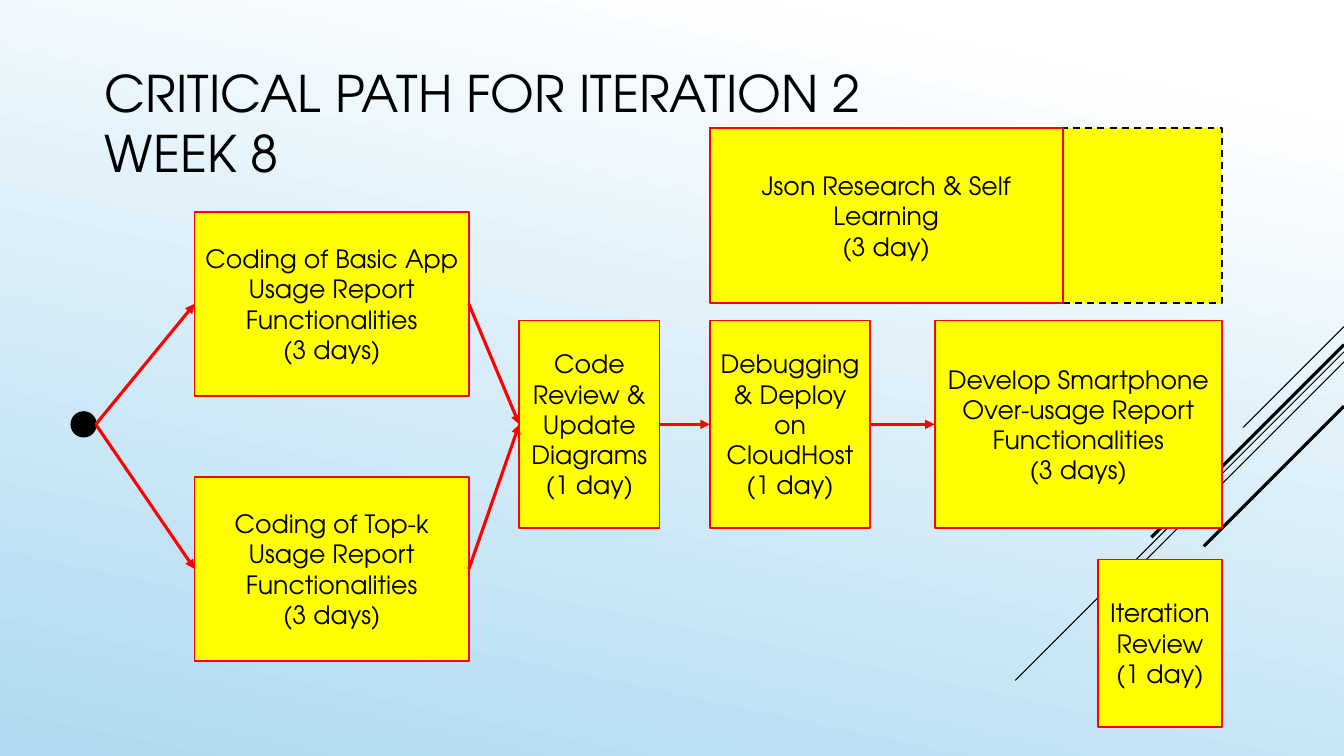
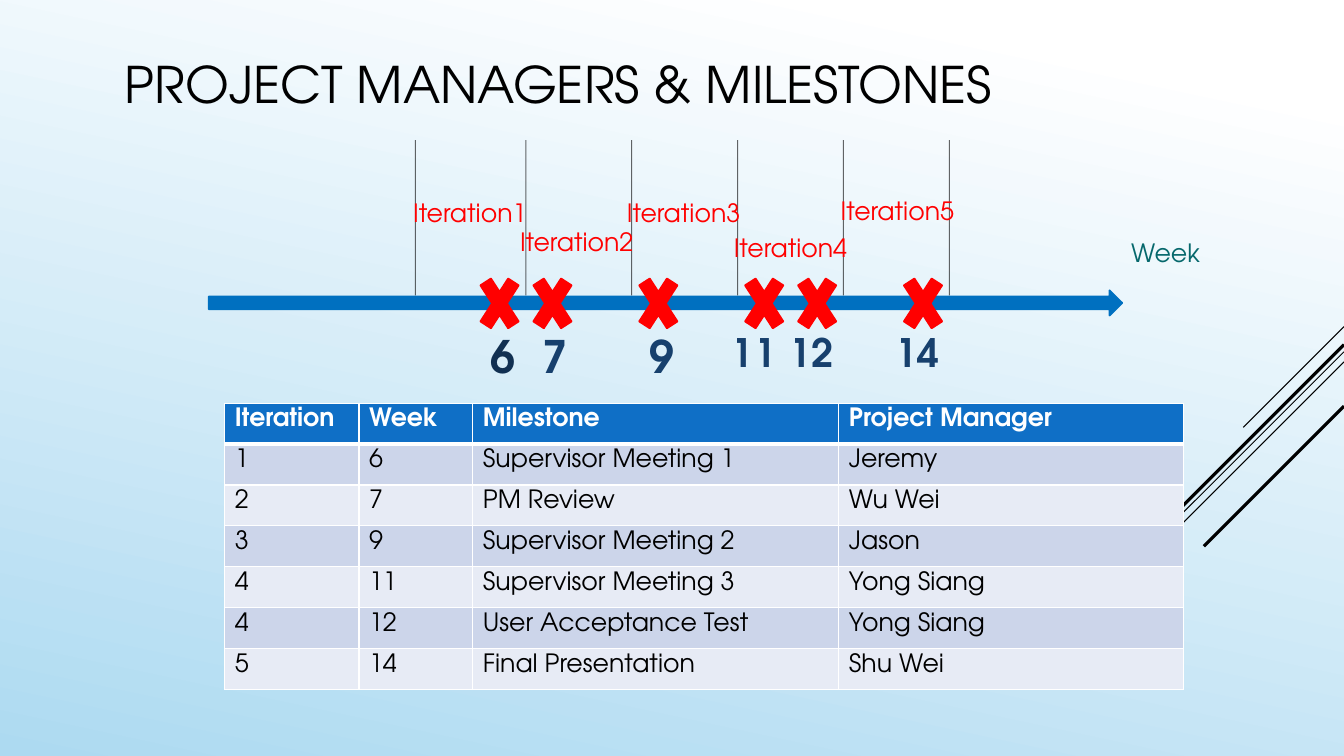
from lxml import etree
from pptx import Presentation
from pptx.dml.color import RGBColor
from pptx.enum.dml import MSO_LINE
from pptx.enum.shapes import MSO_CONNECTOR, MSO_SHAPE
from pptx.enum.text import MSO_ANCHOR, PP_ALIGN
from pptx.oxml.ns import qn
from pptx.util import Inches, Pt

RECTANGLE, ELLIPSE = MSO_SHAPE.RECTANGLE, MSO_SHAPE.OVAL
RIGHT_ARROW, CROSS = MSO_SHAPE.RIGHT_ARROW, MSO_SHAPE.MATH_MULTIPLY
STRAIGHT, DASH = MSO_CONNECTOR.STRAIGHT, MSO_LINE.DASH
LEFT, CENTER = PP_ALIGN.LEFT, PP_ALIGN.CENTER
TOP, MIDDLE = MSO_ANCHOR.TOP, MSO_ANCHOR.MIDDLE
LEFT_SIDE, RIGHT_SIDE = 1, 3

FONT = "TeX Gyre Adventor"
BLACK = RGBColor(0x00, 0x00, 0x00)
WHITE = RGBColor(0xFF, 0xFF, 0xFF)
SKY = RGBColor(0xAD, 0xDA, 0xF1)
RED = RGBColor(0xFF, 0x00, 0x00)
YELLOW = RGBColor(0xFF, 0xFF, 0x00)
AXIS_BLUE = RGBColor(0x00, 0x70, 0xC0)
TEAL = RGBColor(0x06, 0x68, 0x6C)
NAVY = RGBColor(0x17, 0x40, 0x6D)
DARK_NAVY = RGBColor(0x11, 0x30, 0x52)
HEADER_BLUE = RGBColor(0x0F, 0x6F, 0xC6)
BAND_COLORS = (RGBColor(0xCC, 0xD5, 0xEA), RGBColor(0xE7, 0xEB, 0xF5))

SLIDE_WIDTH, SLIDE_HEIGHT = 13.33, 7.5
# Diagonals leave the right edge at a height and run left and down by a length.
DIAGONALS = ((3.24, 1, 0.75), (3.49, 3.26, 0.75), (3.59, 2.07, 0.75),
             (3.42, 1.91, 2.25), (4.03, 1.39, 2.25))

# Critical path grid: (left, width) of columns, (top, height) of rows.
CODING, REVIEW, DEBUG = (1.93, 2.72), (5.15, 1.39), (7.04, 1.59)
DEVELOP, RESEARCH, CLOSING = (9.27, 2.85), (7.04, 3.5), (10.89, 1.23)
RESEARCH_SLACK = (7.04, 5.08)
UPPER, LOWER, MAIN = (2.1, 1.83), (4.73, 1.83), (3.18, 2.06)
SIDE, LAST = (1.27, 1.74), (5.55, 1.66)
DOT_SIZE = 0.24
DOT_RIGHT = 0.95

# Milestone timeline: one column per week.
FIRST_WEEK, FIRST_WEEK_LEFT, WEEK_WIDTH = 6, 4.69, 1.05 / 2
# Week, centre of its number, colour of its number
MILESTONES = ((6, 4.99, DARK_NAVY), (7, 5.51, NAVY), (9, 6.57, NAVY),
              (11, 7.48, NAVY), (12, 8.05, NAVY), (14, 9.1, NAVY))
ITERATION_TOPS = (1.91, 2.2, 1.91, 2.26, 1.89)
ITERATION_LEFT, ITERATION_PITCH = 4, 1.06

TABLE_LEFT, TABLE_TOP, TABLE_HEIGHT = 2.23, 4, 2.84
COLUMN_WIDTHS = (1.33, 1.13, 3.63, 3.42)
SCHEDULE = (
    ("Iteration", "Week", "Milestone", "Project Manager"),
    ("1", "6", "Supervisor Meeting 1", "Jeremy"),
    ("2", "7", "PM Review", "Wu Wei"),
    ("3", "9", "Supervisor Meeting 2", "Jason"),
    ("4", "11", "Supervisor Meeting 3", "Yong Siang"),
    ("4", "12", "User Acceptance Test", "Yong Siang"),
    ("5", "14", "Final Presentation", "Shu Wei"),
)


def write(frame, *paragraphs, size=18, color=BLACK, bold=False, align=LEFT,
          anchor=TOP, spacing=None):
    """Fill a text frame; spacing is the letter spacing in points."""
    frame.word_wrap = True
    frame.vertical_anchor = anchor
    for index, text in enumerate(paragraphs):
        paragraph = frame.add_paragraph() if index else frame.paragraphs[0]
        paragraph.text = text
        paragraph.alignment = align
        for run in paragraph.runs:
            run.font.name = FONT
            run.font.size = Pt(size)
            run.font.bold = bold
            run.font.color.rgb = color
            if spacing:
                run.font._element.set("spc", str(int(spacing * 100)))


def add_label(slide, text, left, top, width, height, **text_format):
    box = slide.shapes.add_textbox(*map(Inches, (left, top, width, height)))
    write(box.text_frame, text, **text_format)


def add_block(slide, kind, left, top, width, height, fill, outline,
              weight=1.25, dash=None):
    block = slide.shapes.add_shape(kind, *map(Inches, (left, top, width, height)))
    block.shadow.inherit = False
    block.fill.solid()
    block.fill.fore_color.rgb = fill
    block.line.color.rgb = outline
    block.line.width = Pt(weight)
    if dash:
        block.line.dash_style = dash
    return block


def add_line(slide, start, end, color=BLACK, weight=0.75, arrow=False, opacity=None):
    line = slide.shapes.add_connector(STRAIGHT, *map(Inches, (*start, *end)))
    line.line.color.rgb = color
    line.line.width = Pt(weight)
    properties = line.element.spPr
    outline = properties.find(qn("a:ln"))
    if opacity:
        rgb = outline.find(".//" + qn("a:srgbClr"))
        etree.SubElement(rgb, qn("a:alpha"), val=str(opacity * 1000))
    if arrow:
        etree.SubElement(outline, qn("a:tailEnd"), type="triangle")
    etree.SubElement(properties, qn("a:effectLst"))
    return line


def add_themed_slide(deck, title, title_left, title_top):
    """Add a slide with the gradient, the diagonals and a title."""
    slide = deck.slides.add_slide(deck.slide_layouts[6])
    background = slide.background.fill
    background.gradient()
    background.gradient_angle = 360 - 102
    for stop, position, color in zip(background.gradient_stops, (0.1, 1), (WHITE, SKY)):
        stop.position = position
        stop.color.rgb = color
    for top, run, weight in DIAGONALS:
        add_line(slide, (SLIDE_WIDTH, top), (SLIDE_WIDTH - run, top + run), weight=weight)
    add_label(slide, title, title_left, title_top, 9.33, 1.65, size=36, anchor=MIDDLE)
    return slide


def add_task(slide, column, row, name, duration):
    (left, width), (top, height) = column, row
    task = add_block(slide, RECTANGLE, left, top, width, height, YELLOW, RED)
    write(task.text_frame, name, f"({duration})", align=CENTER, anchor=MIDDLE)
    return task


def link_tasks(slide, source, target):
    arrow = add_line(slide, (0, 0), (1, 1), RED, 2.25, arrow=True)
    arrow.begin_connect(source, RIGHT_SIDE)
    arrow.end_connect(target, LEFT_SIDE)


def build_critical_path(deck):
    slide = add_themed_slide(deck, "CRITICAL PATH FOR ITERATION 2\nWEEK 8", 0.94, 0.39)
    middle = MAIN[0] + MAIN[1] / 2
    add_block(slide, ELLIPSE, DOT_RIGHT - DOT_SIZE, middle - DOT_SIZE / 2,
              DOT_SIZE, DOT_SIZE, BLACK, BLACK, weight=1.5)

    top_k = add_task(slide, CODING, LOWER,
                     "Coding of Top-k Usage Report Functionalities", "3 days")
    basic = add_task(slide, CODING, UPPER,
                     "Coding of Basic App Usage Report Functionalities", "3 days")
    review = add_task(slide, REVIEW, MAIN, "Code Review & Update Diagrams", "1 day")
    debugging = add_task(slide, DEBUG, MAIN, "Debugging & Deploy on CloudHost", "1 day")
    develop = add_task(slide, DEVELOP, MAIN,
                       "Develop Smartphone Over-usage Report Functionalities", "3 days")
    add_task(slide, CLOSING, LAST, "Iteration Review", "1 day")
    (slack_left, slack_width), (slack_top, slack_height) = RESEARCH_SLACK, SIDE
    add_block(slide, RECTANGLE, slack_left, slack_top, slack_width, slack_height,
              YELLOW, BLACK, dash=DASH)
    add_task(slide, RESEARCH, SIDE, "Json Research & Self Learning", "3 day")

    for coding in (top_k, basic):
        start = add_line(slide, (DOT_RIGHT, middle), (CODING[0], middle),
                         RED, 2.25, arrow=True)
        start.end_connect(coding, LEFT_SIDE)
        link_tasks(slide, coding, review)
    link_tasks(slide, review, debugging)
    link_tasks(slide, debugging, develop)


def week_left(week):
    return FIRST_WEEK_LEFT + (week - FIRST_WEEK) * WEEK_WIDTH


def add_timeline(slide):
    add_block(slide, RIGHT_ARROW, 2.07, 2.88, 9.06, 0.25, AXIS_BLUE, AXIS_BLUE)
    add_label(slide, "Week", 11.12, 2.31, 1.82, 0.4, color=TEAL)
    for week, center, color in MILESTONES:
        add_block(slide, CROSS, week_left(week), 2.6, 0.53, 0.82, RED, RED)
        add_label(slide, str(week), center - 0.4, 3.21, 0.8, 0.64,
                  size=32 if week < 10 else 28, color=color, bold=True,
                  align=CENTER, spacing=0.5)
    for left in (4.12, *map(week_left, range(7, 16, 2))):
        add_line(slide, (left, 1.39), (left, 2.93), opacity=60)
    for index, top in enumerate(ITERATION_TOPS):
        add_label(slide, f"Iteration{index + 1}", ITERATION_LEFT + index * ITERATION_PITCH,
                  top, 1.4, 0.4, color=RED)


def set_borders(cell, bottom_weight):
    properties = cell._tc.get_or_add_tcPr()
    for side, weight in (("L", 1), ("R", 1), ("T", 1), ("B", bottom_weight)):
        border = etree.SubElement(properties, qn(f"a:ln{side}"), w=str(Pt(weight)))
        fill = etree.SubElement(border, qn("a:solidFill"))
        etree.SubElement(fill, qn("a:srgbClr"), val=str(WHITE))


def add_schedule(slide):
    table = slide.shapes.add_table(
        len(SCHEDULE), len(COLUMN_WIDTHS), Inches(TABLE_LEFT), Inches(TABLE_TOP),
        Inches(sum(COLUMN_WIDTHS)), Inches(TABLE_HEIGHT)).table
    for column, width in zip(table.columns, COLUMN_WIDTHS):
        column.width = Inches(width)
    for row_index, values in enumerate(SCHEDULE):
        header = row_index == 0
        for column_index, value in enumerate(values):
            cell = table.cell(row_index, column_index)
            set_borders(cell, 3 if header else 1)
            cell.fill.solid()
            cell.fill.fore_color.rgb = HEADER_BLUE if header else BAND_COLORS[(row_index - 1) % 2]
            write(cell.text_frame, value, color=WHITE if header else BLACK, bold=header)


def build_milestones(deck):
    slide = add_themed_slide(deck, "PROJECT MANAGERS & MILESTONES", 1.14, 0)
    add_timeline(slide)
    add_schedule(slide)


def main():
    deck = Presentation()
    deck.slide_width, deck.slide_height = Inches(SLIDE_WIDTH), Inches(SLIDE_HEIGHT)
    build_critical_path(deck)
    build_milestones(deck)
    deck.save("out.pptx")


if __name__ == "__main__":
    main()
